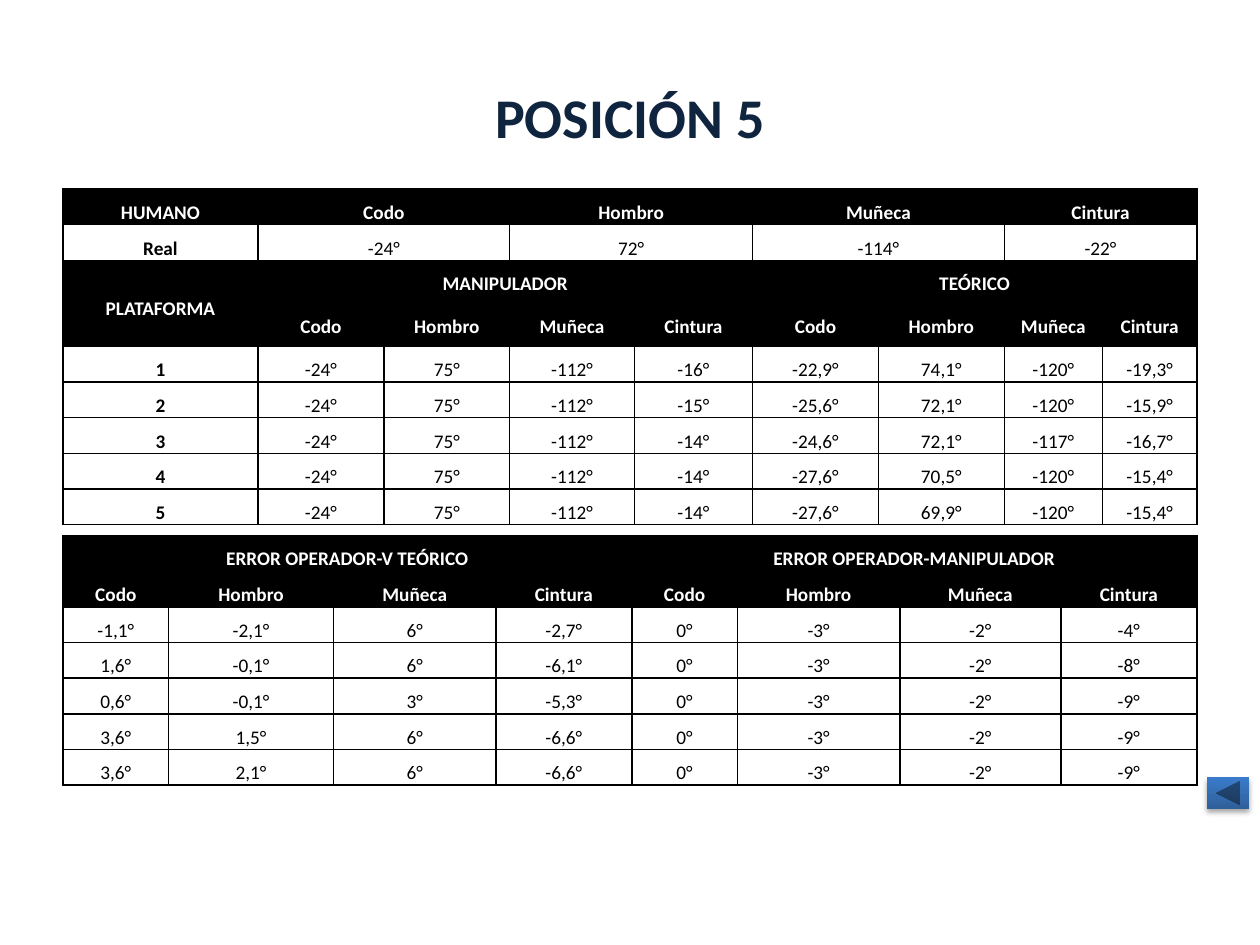
import pptx
import pptx.util
import pptx.dml.color
import pptx.enum.shapes
import pptx.enum.text
import pptx.oxml
import pptx.oxml.ns

RGB = pptx.dml.color.RGBColor
In = pptx.util.Inches
Pt = pptx.util.Pt
ANCHOR = pptx.enum.text.MSO_ANCHOR

NAVY = RGB(0x0F, 0x24, 0x3E)
BLACK = RGB(0, 0, 0)
WHITE = RGB(0xFF, 0xFF, 0xFF)
BLUE_DARK = RGB(0x2F, 0x5F, 0x99)
BLUE_LIGHT = RGB(0x3A, 0x7C, 0xCB)

W, H = 10, 7.5
LEFT, WIDTH = 0.05 * W, 0.9 * W
ROW = 0.28
JOINTS = ["Codo", "Hombro", "Muñeca", "Cintura"]
NS = pptx.oxml.ns.nsdecls("a")

POSITIONS = [
    ["HUMANO", "Codo", None, "Hombro", None, "Muñeca", None, "Cintura", None],
    ["Real", "-24°", None, "72°", None, "-114°", None, "-22°", None],
    ["PLATAFORMA", "MANIPULADOR", None, None, None, "TEÓRICO", None, None, None],
    [None] + JOINTS * 2,
    ["1", "-24°", "75°", "-112°", "-16°", "-22,9°", "74,1°", "-120°", "-19,3°"],
    ["2", "-24°", "75°", "-112°", "-15°", "-25,6°", "72,1°", "-120°", "-15,9°"],
    ["3", "-24°", "75°", "-112°", "-14°", "-24,6°", "72,1°", "-117°", "-16,7°"],
    ["4", "-24°", "75°", "-112°", "-14°", "-27,6°", "70,5°", "-120°", "-15,4°"],
    ["5", "-24°", "75°", "-112°", "-14°", "-27,6°", "69,9°", "-120°", "-15,4°"],
]
POSITION_COLS = [1.55, 1, 1, 0.99, 0.94, 1, 1, 0.78, 0.75]

ERRORS = [
    ["ERROR OPERADOR-V TEÓRICO", None, None, None,
     "ERROR OPERADOR-MANIPULADOR", None, None, None],
    JOINTS * 2,
    ["-1,1°", "-2,1°", "6°", "-2,7°", "0°", "-3°", "-2°", "-4°"],
    ["1,6°", "-0,1°", "6°", "-6,1°", "0°", "-3°", "-2°", "-8°"],
    ["0,6°", "-0,1°", "3°", "-5,3°", "0°", "-3°", "-2°", "-9°"],
    ["3,6°", "1,5°", "6°", "-6,6°", "0°", "-3°", "-2°", "-9°"],
    ["3,6°", "2,1°", "6°", "-6,6°", "0°", "-3°", "-2°", "-9°"],
]
ERROR_COLS = [0.84, 1.31, 1.29, 1.08, 0.84, 1.29, 1.28, 1.08]


def write(tf, text, size=11, color=BLACK, bold=False, spacing=None):
    p = tf.paragraphs[0]
    p.alignment = pptx.enum.text.PP_ALIGN.CENTER
    p.line_spacing = spacing
    r = p.add_run()
    r.text = text
    r.font.name = "Calibri"
    r.font.size = Pt(size)
    r.font.bold = bold
    r.font.color.rgb = color


def add_title(s, box, text):
    sp = s.shapes.title
    sp.left, sp.top, sp.width, sp.height = map(In, box)
    sp.text_frame.vertical_anchor = ANCHOR.MIDDLE
    write(sp.text_frame, text, size=32, color=NAVY, bold=True)


def format_cell(cell, header):
    cell.margin_left = cell.margin_right = In(0.07)
    cell.margin_top = cell.margin_bottom = 0
    tcPr = cell._tc.get_or_add_tcPr()
    for side in "LRTB":
        tcPr.append(pptx.oxml.parse_xml(
            f'<a:ln{side} {NS} w="{Pt(1)}"><a:solidFill>'
            f'<a:srgbClr val="{BLACK}"/></a:solidFill></a:ln{side}>'))
    if header:
        cell.fill.solid()
        cell.fill.fore_color.rgb = BLACK
    else:
        cell.fill.background()


def add_table(s, box, data, cols, heights, headers, middle=(), bold_first=False):
    gf = s.shapes.add_table(len(data), len(cols), *map(In, box))
    tbl = gf.table
    tbl.first_row = tbl.horz_banding = False
    for col, share in zip(tbl.columns, cols):
        col.width = In(box[2] * share / sum(cols))
    for row, height in zip(tbl.rows, heights):
        row.height = In(height)
    for i, values in enumerate(data):
        for j, text in enumerate(values):
            cell = tbl.cell(i, j)
            header = i in headers
            format_cell(cell, header)
            if text is None:
                continue
            if i in middle:
                cell.vertical_anchor = ANCHOR.MIDDLE
            write(cell.text_frame, text, color=WHITE if header else BLACK,
                  bold=header or (bold_first and j == 0), spacing=1.5)
            right, bottom = j, i
            while right + 1 < len(cols) and values[right + 1] is None:
                right += 1
            while j == 0 and bottom + 1 < len(data) and data[bottom + 1][0] is None:
                bottom += 1
            if (right, bottom) != (j, i):
                cell.merge(tbl.cell(bottom, right))


def add_back_button(s, box):
    kind = pptx.enum.shapes.MSO_SHAPE.ACTION_BUTTON_BACK_OR_PREVIOUS
    sp = s.shapes.add_shape(kind, *map(In, box))
    sp.line.fill.background()
    sp.fill.gradient()
    sp.fill.gradient_angle = 90
    for stop, color in zip(sp.fill.gradient_stops, (BLUE_DARK, BLUE_LIGHT)):
        stop.color.rgb = color
    sp.shadow.inherit = False
    effects = sp._element.spPr.find(pptx.oxml.ns.qn("a:effectLst"))
    effects.append(pptx.oxml.parse_xml(
        f'<a:outerShdw {NS} blurRad="{Pt(3.1)}" dist="{Pt(1.8)}" dir="5400000" '
        f'rotWithShape="0"><a:srgbClr val="{BLACK}"><a:alpha val="35000"/>'
        '</a:srgbClr></a:outerShdw>'))


def main():
    prs = pptx.Presentation()
    prs.slide_width, prs.slide_height = In(W), In(H)
    s = prs.slides.add_slide(prs.slide_layouts[5])
    add_title(s, (LEFT, 0.04 * H, WIDTH, H / 6), "POSICIÓN 5")

    heights = [ROW] * len(POSITIONS)
    heights[3] = 0.4
    add_table(s, (LEFT, 0.2 * H, WIDTH, sum(heights)), POSITIONS, POSITION_COLS,
              heights, headers=(0, 2, 3), middle=(2, 3), bold_first=True)

    heights = [ROW] * len(ERRORS)
    add_table(s, (LEFT, 4.25, WIDTH, sum(heights)), ERRORS, ERROR_COLS,
              heights, headers=(0, 1))

    add_back_button(s, (9.58, 6.17, W / 30, H / 30))
    prs.save("out.pptx")


if __name__ == "__main__":
    main()
